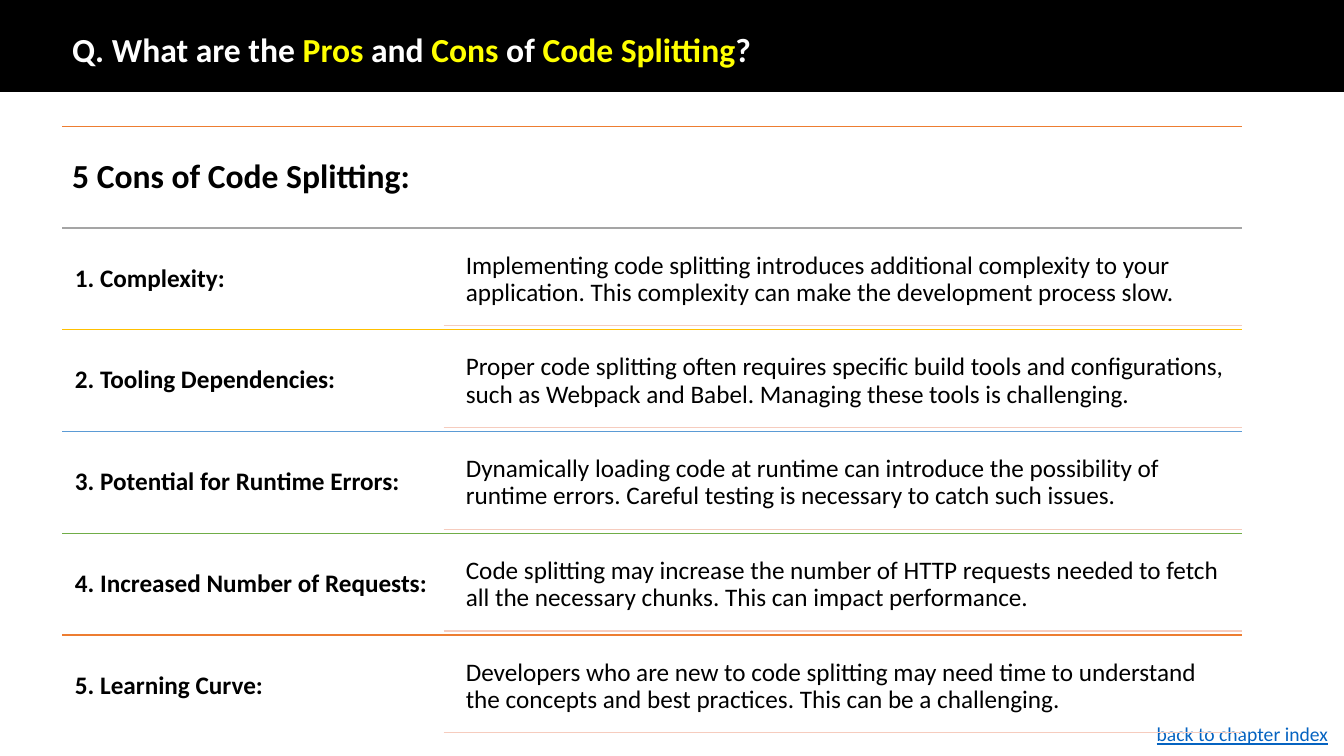
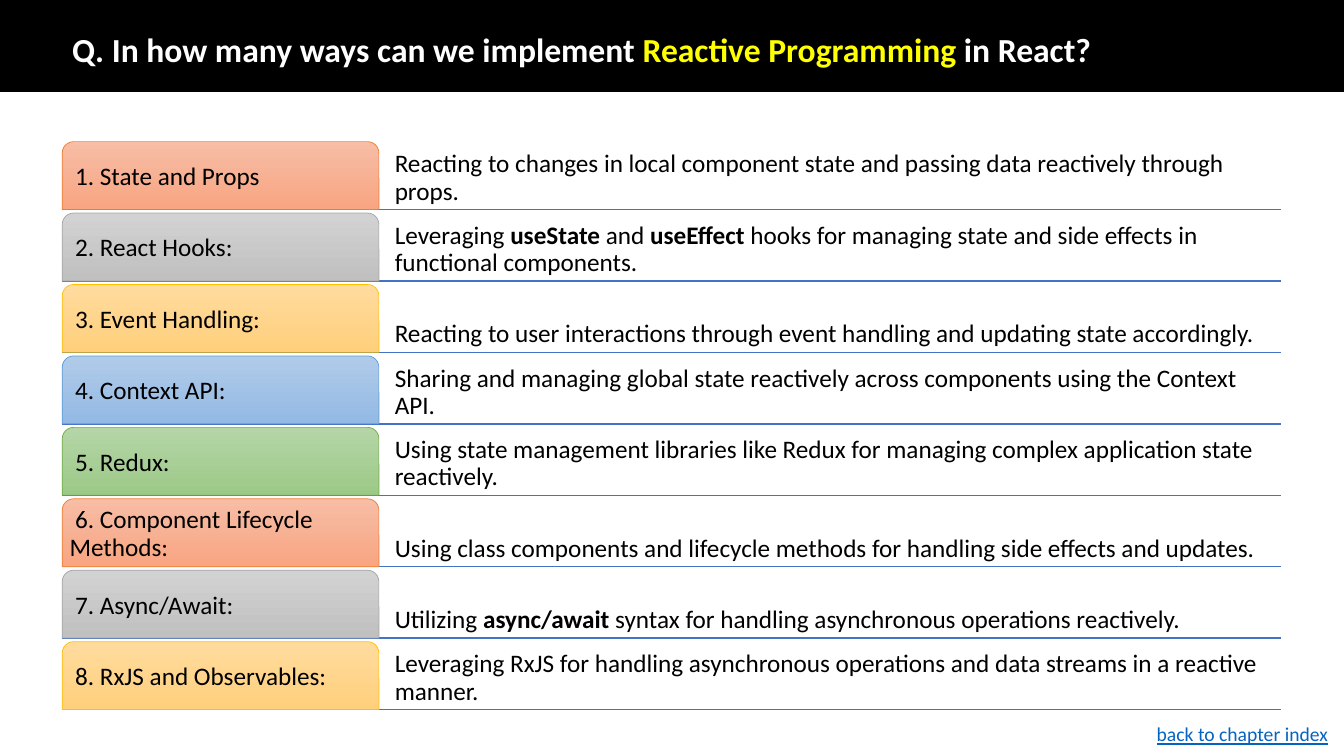
from itertools import cycle

from lxml import etree
from pptx import Presentation
from pptx.dml.color import RGBColor as Rgb
from pptx.enum.shapes import MSO_CONNECTOR as Conn, MSO_SHAPE as Geo
from pptx.enum.text import MSO_ANCHOR as Anchor, MSO_AUTO_SIZE as Fit, PP_ALIGN as Align
from pptx.oxml.ns import qn
from pptx.util import Cm, Pt

WIDE, HIGH = 33.87, 19.05
FACE = "Calibri"
LEFT = 1.57
HUES = {
    "black": "000000", "white": "FFFFFF", "mark": "FFFF00", "link": "0563C1",
    "blush": "F6CCBE", "rule": "4472C4",
    "orange": "ED7D31", "grey": "A5A5A5", "gold": "FFC000",
    "blue": "5B9BD5", "green": "70AD47",
}
# Gradient ends of the tabs, top and bottom
FADES = {
    "orange": ("F7BDA5", "F8A582"), "grey": ("D2D2D2", "C0C0C0"),
    "gold": ("FFDB9E", "FFD07C"), "blue": ("B1CBE9", "93B9E4"),
    "green": ("B5D5A7", "9CC987"),
}

# Text between asterisks is emphasised
CONS = [
    ("1. Complexity:",
     "Implementing code splitting introduces additional complexity to your "
     "application. This complexity can make the development process slow."),
    ("2. Tooling Dependencies:",
     "Proper code splitting often requires specific build tools and configurations, "
     "such as Webpack and Babel. Managing these tools is challenging."),
    ("3. Potential for Runtime Errors:",
     "Dynamically loading code at runtime can introduce the possibility of "
     "runtime errors. Careful testing is necessary to catch such issues."),
    ("4. Increased Number of Requests:",
     "Code splitting may increase the number of HTTP requests needed to fetch "
     "all the necessary chunks. This can impact performance."),
    ("5. Learning Curve:",
     "Developers who are new to code splitting may need time to understand "
     "the concepts and best practices. This can be a challenging."),
]
WAYS = [
    ("1. State and Props",
     "Reacting to changes in local component state and passing data reactively "
     "through props."),
    ("2. React Hooks:",
     "Leveraging *useState* and *useEffect* hooks for managing state and side "
     "effects in functional components."),
    ("3. Event Handling:",
     "Reacting to user interactions through event handling and updating state "
     "accordingly."),
    ("4. Context API:",
     "Sharing and managing global state reactively across components using the "
     "Context API."),
    ("5. Redux:",
     "Using state management libraries like Redux for managing complex "
     "application state reactively."),
    ("6. Component Lifecycle Methods:",
     "Using class components and lifecycle methods for handling side effects "
     "and updates."),
    ("7. Async/Await:",
     "Utilizing *async/await* syntax for handling asynchronous operations "
     "reactively."),
    ("8. RxJS and Observables:",
     "Leveraging RxJS for handling asynchronous operations and data streams in "
     "a reactive manner."),
]


def tint(name):
    return Rgb.from_string(HUES[name])


def write(frame, text, size=18, hue="black", bold=False, mark=None,
          anchor=Anchor.MIDDLE, inset=0.18, indent=0, lead=0.9):
    """Fill a text frame; starred parts turn bold, or take the mark colour."""
    frame.word_wrap = True
    frame.auto_size = Fit.NONE
    frame.vertical_anchor = anchor
    frame.margin_left = frame.margin_right = Cm(inset)
    frame.margin_top = frame.margin_bottom = Cm(inset)
    para = frame.paragraphs[0]
    para.alignment = Align.LEFT
    para.line_spacing = lead
    if indent:
        props = para._p.get_or_add_pPr()
        props.set("marL", "0")
        props.set("indent", str(Cm(indent)))
    font = para.font
    font.name, font.size, font.bold = FACE, Pt(size), bold
    font.color.rgb = tint(hue)
    for i, part in enumerate(text.split("*")):
        if not part:
            continue
        run = para.add_run()
        run.text = part
        if i % 2 and mark:
            run.font.color.rgb = tint(mark)
        elif i % 2:
            run.font.bold = True
    return para


def label(slide, box, text, **style):
    area = slide.shapes.add_textbox(*map(Cm, box))
    return write(area.text_frame, text, **style)


def rule(slide, x, y, end, hue):
    line = slide.shapes.add_connector(Conn.STRAIGHT, Cm(x), Cm(y), Cm(end), Cm(y))
    line.line.color.rgb = tint(hue)
    line.line.width = Pt(1)
    etree.SubElement(line._element.spPr, qn("a:effectLst"))


def shape(slide, kind, box, hue, width):
    item = slide.shapes.add_shape(kind, *map(Cm, box))
    item.shadow.inherit = False
    item.line.color.rgb = tint(hue)
    item.line.width = Pt(width)
    return item


def start(deck, title):
    """Add a slide with the black band, the question and the footer."""
    slide = deck.slides.add_slide(deck.slide_layouts[5])
    band = shape(slide, Geo.RECTANGLE, (0, 0, WIDE, 2.31), "black", 1)
    band.fill.solid()
    band.fill.fore_color.rgb = tint("black")
    # The band goes behind the title
    slide.shapes._spTree.insert(2, band._element)
    head = slide.shapes.title
    head.left, head.top, head.width, head.height = map(Cm, (LEFT, 0.86, 30.94, 0.89))
    write(head.text_frame, title, size=24, hue="white", bold=True,
          mark="mark", inset=0.25)
    foot = label(slide, (28.9, 18.06, 4.95, 0.86), "back to chapter index",
                 size=14, hue="link", inset=0.25, lead=1)
    foot.font.underline = True
    return slide


def ledger(slide, box, head, rows):
    """A heading and ruled rows: bold name left, description right."""
    x, y, w, h = box
    step = h / (len(rows) + 1)
    end = x + w
    hues = cycle(["grey", "gold", "blue", "green", "orange"])
    rule(slide, x, y, end, "orange")
    label(slide, (x, y, 11.35, step), head, size=24, bold=True, inset=0.25)
    for i, ((name, text), hue) in enumerate(zip(rows, hues), 1):
        top = y + i * step
        rule(slide, x, top, end, hue)
        label(slide, (x, top, 9.6, step), name, bold=True, indent=0.14)
        label(slide, (x + 9.99, top + 0.13, w - 9.99, 2.34), text)
        rule(slide, x + 9.61, top + 2.46, end, "blush")


def tabs(slide, box, rows):
    """Rows with a coloured tab left and a description on a rule."""
    x, y, w, h = box
    step = h / len(rows)
    tall = step - 0.09
    for i, ((name, text), hue) in enumerate(zip(rows, cycle(FADES))):
        top = y + i * step
        rule(slide, x, top + tall, x + w, "rule")
        label(slide, (x + 8.28, top, w - 8.56, tall), text,
              anchor=Anchor.BOTTOM, inset=0.1)
        tab = shape(slide, Geo.ROUND_2_SAME_RECTANGLE, (x, top, 7.98, tall), hue, 0.5)
        tab.fill.gradient()
        tab.fill.gradient_angle = 270
        for stop, code in zip(tab.fill.gradient_stops, FADES[hue]):
            stop.color.rgb = Rgb.from_string(code)
        write(tab.text_frame, name, inset=0.1, indent=0.14)


def main():
    deck = Presentation()
    deck.slide_width, deck.slide_height = Cm(WIDE), Cm(HIGH)

    cons = start(deck, "Q. What are the *Pros* and *Cons* of *Code Splitting*?")
    ledger(cons, (LEFT, 3.18, 29.72, 15.39), "5 Cons of Code Splitting:", CONS)

    ways = start(deck, "Q. In how many ways can we implement "
                       "*Reactive Programming* in React?")
    tabs(ways, (LEFT, 3.57, 30.71, 14.4), WAYS)

    deck.save("out.pptx")


if __name__ == "__main__":
    main()
